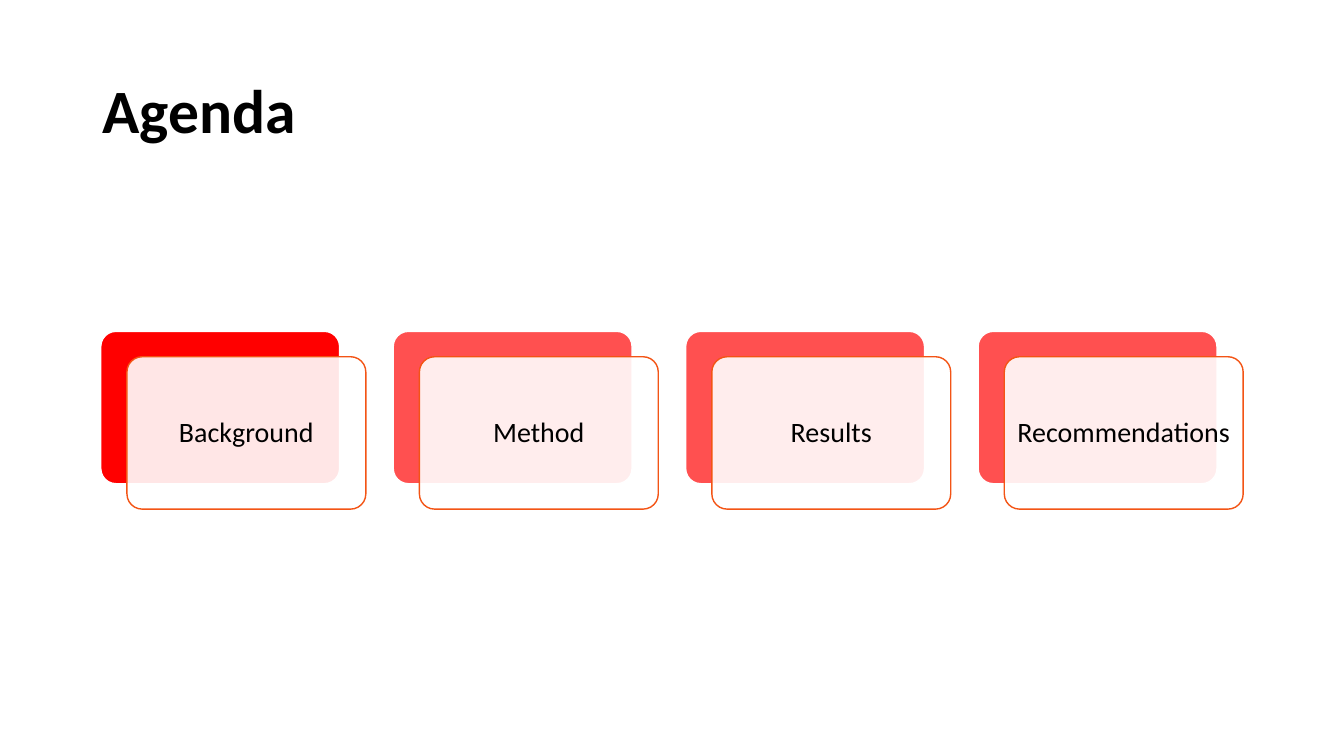
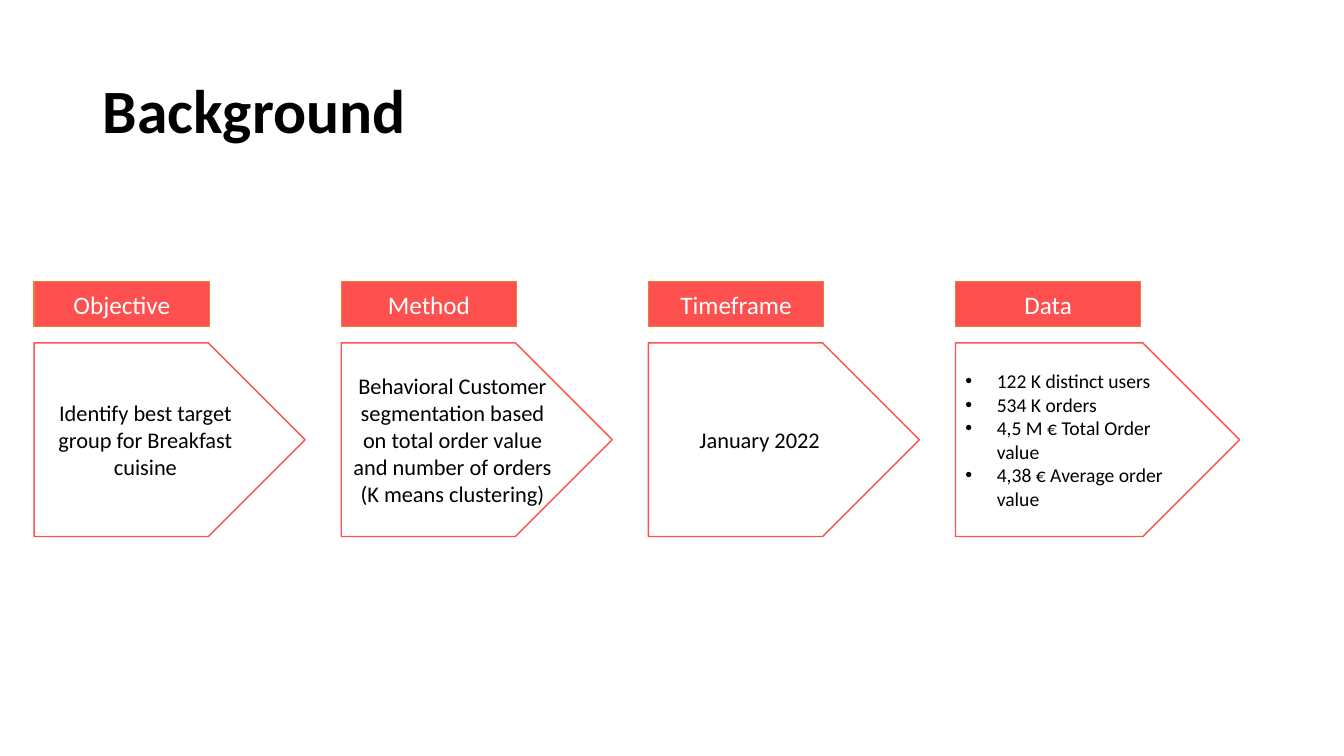
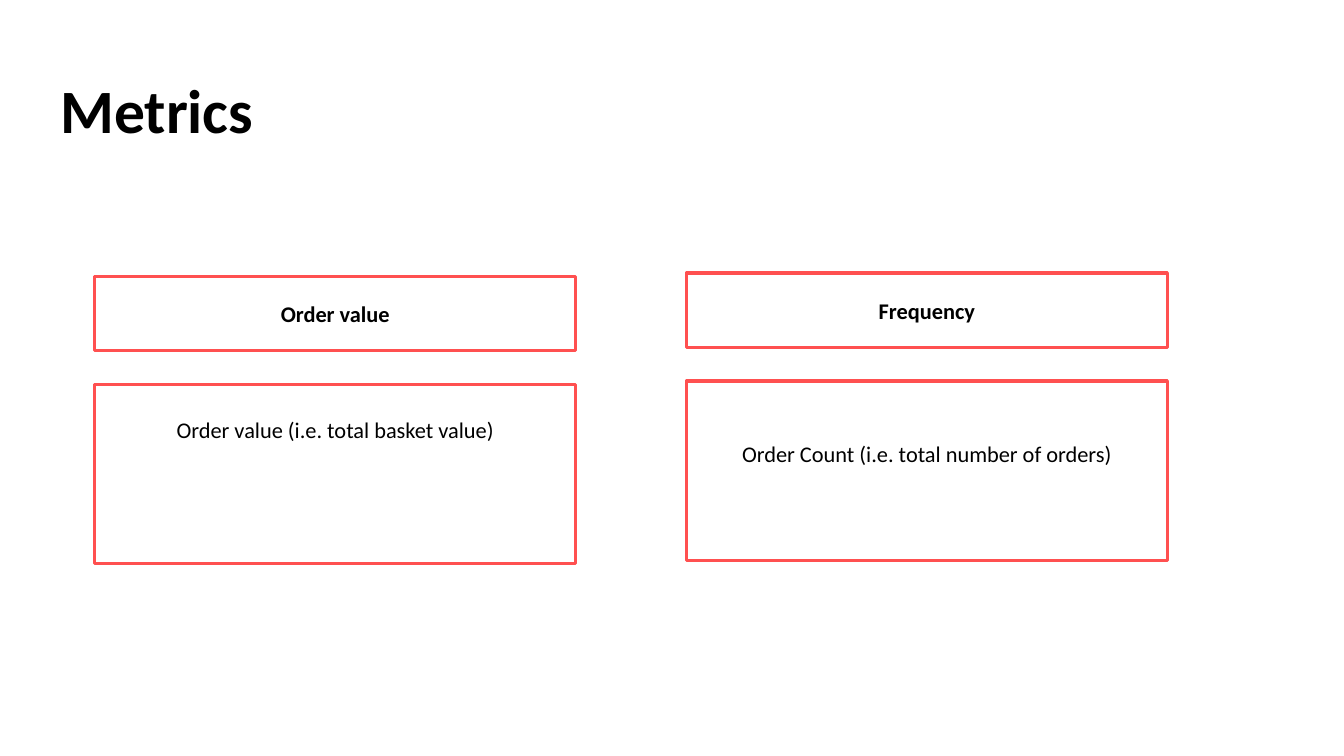
from lxml import etree
from pptx import Presentation
from pptx.dml.color import RGBColor
from pptx.enum.shapes import MSO_SHAPE
from pptx.enum.text import MSO_ANCHOR, PP_ALIGN
from pptx.oxml.ns import qn
from pptx.util import Cm, Pt

RECTANGLE = MSO_SHAPE.RECTANGLE
ROUNDED = MSO_SHAPE.ROUNDED_RECTANGLE
PENTAGON = MSO_SHAPE.PENTAGON
LEFT, CENTER = PP_ALIGN.LEFT, PP_ALIGN.CENTER
TOP, MIDDLE = MSO_ANCHOR.TOP, MSO_ANCHOR.MIDDLE

FONT = "Calibri"
BLACK, WHITE = "000000", "FFFFFF"
RED, CORAL = "FF0000", "FF5050"
ORANGE, DEEP_ORANGE = "ED7D31", "F35415"


def color(value):
    return RGBColor.from_string(value)


def add_bullet(paragraph, indent=0.79):
    properties = paragraph._p.get_or_add_pPr()
    properties.set("marL", str(Cm(indent)))
    properties.set("indent", str(-Cm(indent)))
    font = etree.SubElement(properties, qn("a:buFont"))
    font.set("typeface", "Arial")
    etree.SubElement(properties, qn("a:buChar")).set("char", "•")


def write(shape, text, size=16, ink=BLACK, bold=False, align=CENTER,
          anchor=MIDDLE, spacing=None, bullets=False, insets=(0.25, 0.13)):
    frame = shape.text_frame
    frame.word_wrap = True
    frame.vertical_anchor = anchor
    frame.margin_left = frame.margin_right = Cm(insets[0])
    frame.margin_top = frame.margin_bottom = Cm(insets[1])
    for index, line in enumerate(text.split("\n")):
        paragraph = frame.add_paragraph() if index else frame.paragraphs[0]
        paragraph.alignment = align
        if spacing:
            paragraph.line_spacing = spacing
        if bullets:
            add_bullet(paragraph)
        run = paragraph.add_run()
        run.text = line
        run.font.name = FONT
        run.font.size = Pt(size)
        run.font.bold = bold
        run.font.color.rgb = color(ink)


class Deck:
    def __init__(self):
        self.presentation = Presentation()
        self.presentation.slide_width = Cm(33.87)
        self.presentation.slide_height = Cm(19.05)
        self.slide = None

    def add_slide(self, title, left=2.34, width=29.21):
        self.slide = self.presentation.slides.add_slide(
            self.presentation.slide_layouts[6])
        box = self.slide.shapes.add_textbox(
            Cm(left), Cm(1.02), Cm(width), Cm(3.68))
        write(box, title, size=44, bold=True, align=LEFT, spacing=0.9)

    def box(self, kind, left, top, width, height, fill=None, opacity=100,
            line=CORAL, weight=1):
        shape = self.slide.shapes.add_shape(
            kind, Cm(left), Cm(top), Cm(width), Cm(height))
        shape.shadow.inherit = False
        if fill:
            shape.fill.solid()
            shape.fill.fore_color.rgb = color(fill)
        else:
            shape.fill.background()
        if opacity < 100:
            tint = shape._element.spPr.find(qn("a:solidFill")).find(qn("a:srgbClr"))
            etree.SubElement(tint, qn("a:alpha")).set("val", str(opacity * 1000))
        shape.line.color.rgb = color(line)
        shape.line.width = Pt(weight)
        return shape

    def agenda_card(self, left, top, text, fill):
        width, height = 6.02, 3.84
        back = self.box(ROUNDED, left, top, width, height, fill=fill, line=WHITE)
        front = self.box(ROUNDED, left + 0.66, top + 0.64, width, height,
                         fill=WHITE, opacity=90, line=DEEP_ORANGE)
        for card in (back, front):
            card.adjustments[0] = 0.1
        write(front, text, size=20, spacing=0.9, insets=(0.2, 0.2))

    def step(self, left, heading, text, label_width=4.42, plate_width=6.83,
             **text_format):
        label = self.box(RECTANGLE, left, 7.09, label_width, 1.14,
                         fill=CORAL, line=ORANGE)
        write(label, heading, size=18, ink=WHITE)
        plate = self.box(PENTAGON, left, 8.64, plate_width, 4.88)
        write(plate, text, **text_format)

    def metric(self, left, top, heading, text, text_top):
        width = 12.12
        header = self.box(RECTANGLE, left, top, width, 1.88, weight=2.25)
        write(header, heading, bold=True)
        body = self.box(RECTANGLE, left, top + 2.72, width, 4.52, weight=2.25)
        write(body, text, anchor=TOP, insets=(0.25, text_top))


def main():
    deck = Deck()

    deck.add_slide("Agenda")
    topics = ["Background", "Method", "Results", "Recommendations"]
    for index, topic in enumerate(topics):
        deck.agenda_card(2.54 + 7.37 * index, 8.35, topic,
                         CORAL if index else RED)

    deck.add_slide("Background")
    data_format = {"label_width": 4.67, "plate_width": 7.16, "size": 14,
                   "align": LEFT, "bullets": True}
    steps = [
        ("Objective", "Identify best target group for Breakfast cuisine", {}),
        ("Method", "Behavioral Customer segmentation based on total order value "
                   "and number of orders\n(K means clustering)", {}),
        ("Timeframe", "January 2022", {}),
        ("Data", "122 K distinct users\n534 K orders\n4,5 M € Total Order value\n"
                 "4,38 € Average order value", data_format),
    ]
    for index, (heading, text, text_format) in enumerate(steps):
        deck.step(0.86 + 7.74 * index, heading, text, **text_format)

    deck.add_slide("Metrics", left=1.27, width=30.28)
    deck.metric(2.39, 6.96, "Order value",
                "Order value (i.e. total basket value)", 0.81)
    deck.metric(17.3, 6.88, "Frequency",
                "Order Count (i.e. total number of orders)", 1.5)

    deck.presentation.save("out.pptx")


if __name__ == "__main__":
    main()
